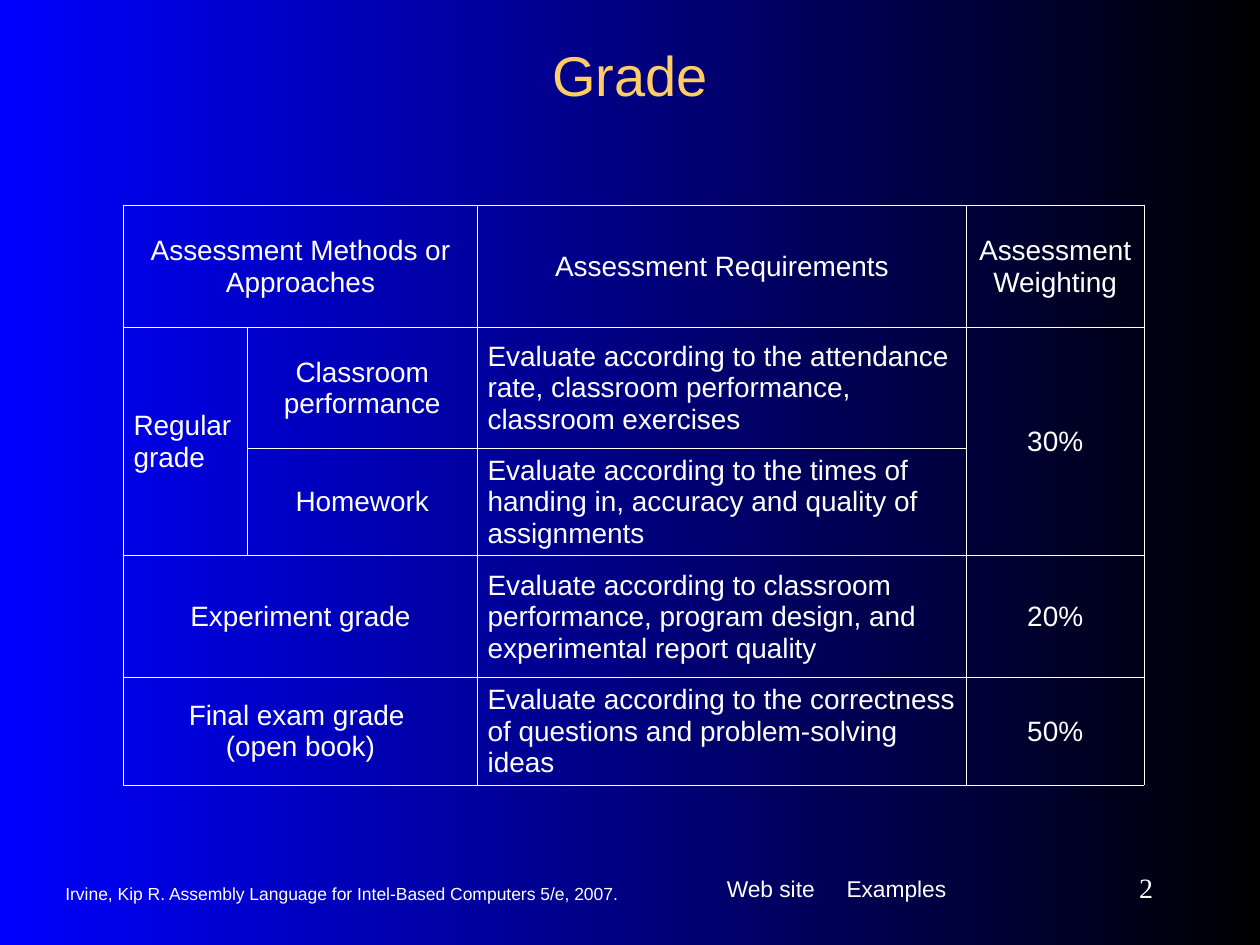
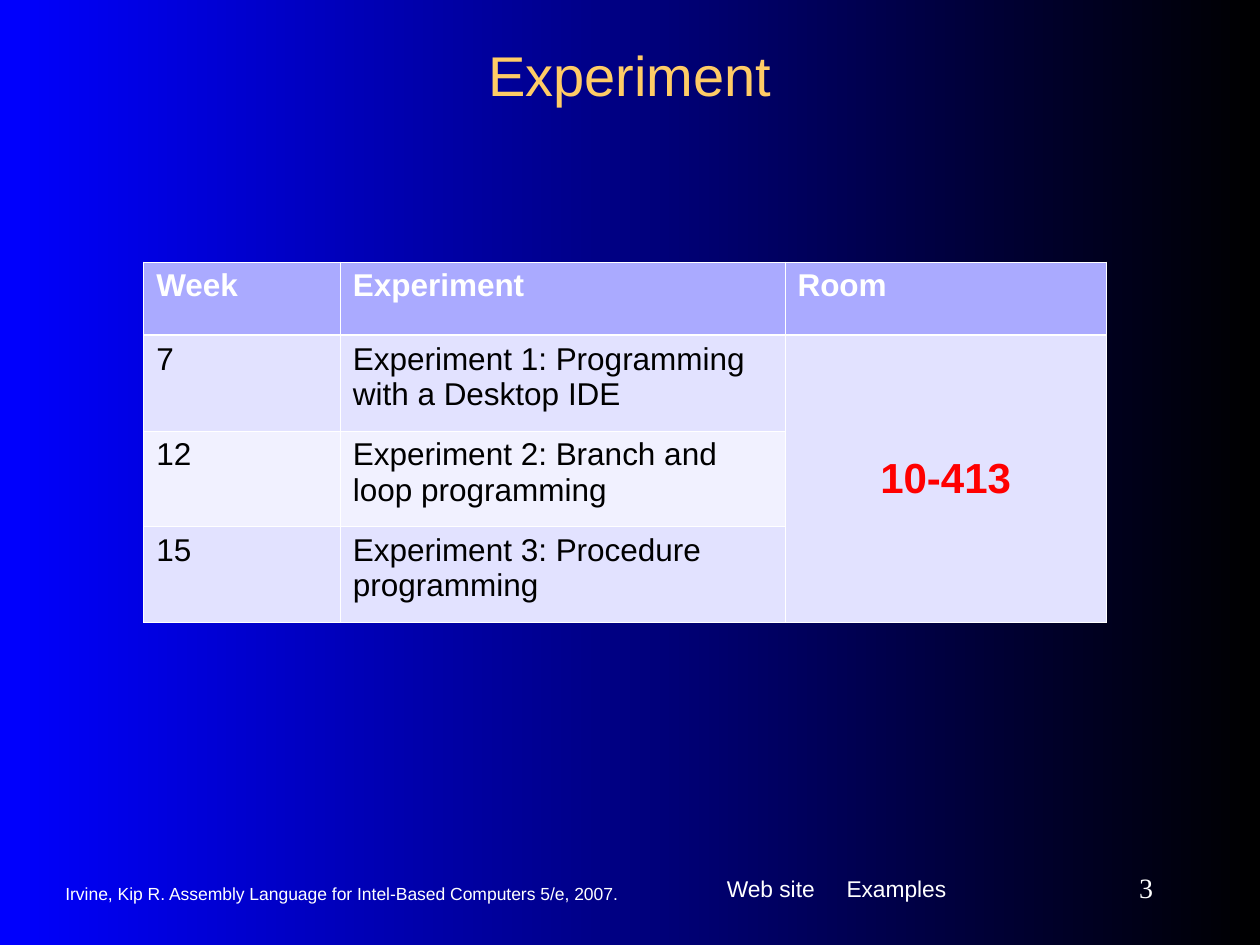
from lxml import etree
from pptx import Presentation, util as u
from pptx.dml.color import RGBColor
from pptx.enum import text
from pptx.oxml import ns

COLORS = {
    "blue": "0000FF", "black": "000000", "white": "FFFFFF", "gold": "FFCC66",
    "red": "FF0000", "header": "AAAAFF", "odd": "E2E2FF", "even": "F1F1FF",
}
ALIGN = {"l": text.PP_ALIGN.LEFT, "c": text.PP_ALIGN.CENTER, "r": text.PP_ALIGN.RIGHT}
TOP, MIDDLE = text.MSO_ANCHOR.TOP, text.MSO_ANCHOR.MIDDLE
WIDTH, HEIGHT = 10, 7.5
FIRST_NUMBER = 2
THIN, THICK = 0.45, 1.47

CITATION = "Irvine, Kip R. Assembly Language for Intel-Based Computers 5/e, 2007."
LINKS = "Web site\tExamples"
LINKS_TAB = 0.95

STYLES = {
    "l": dict(size=16, color="white", align="l", leading=18),
    "c": dict(size=16, color="white", align="c", leading=18),
    "H": dict(size=18, color="white", bold=True, fill="header", anchor=TOP),
    "o": dict(size=18, color="black", fill="odd", anchor=TOP),
    "e": dict(size=18, color="black", fill="even", anchor=TOP),
    "R": dict(size=24, color="red", bold=True, align="c", fill="odd"),
}

SLIDES = [
    dict(
        title="Grade", at=(0.98, 1.63), side_margin=0.08, rule_under_header=THIN,
        cols=(0.98, 1.83, 3.88, 1.41), rows=(0.97, 0.96, 0.75, 0.97, 0.75),
        cells=[
            ("Assessment Methods or Approaches", None, "Assessment Requirements",
             "Assessment Weighting"),
            ("Regular grade", "Classroom performance",
             "Evaluate according to the attendance rate, classroom performance, "
             "classroom exercises", "30%"),
            (None, "Homework",
             "Evaluate according to the times of handing in, accuracy and quality "
             "of assignments", None),
            ("Experiment grade", None,
             "Evaluate according to classroom performance, program design, and "
             "experimental report quality", "20%"),
            ("Final exam grade \n(open book)", None,
             "Evaluate according to the correctness of questions and "
             "problem-solving ideas", "50%"),
        ],
        styles=("cccc", "lclc", "lclc", "cclc", "cclc"),
        merges=[(0, 0, 0, 1), (1, 0, 2, 0), (1, 3, 2, 3), (3, 0, 3, 1), (4, 0, 4, 1)],
    ),
    dict(
        title="Experiment", at=(1.14, 2.08), side_margin=0.1, rule_under_header=THICK,
        cols=(1.56, 3.53, 2.55), rows=(0.58, 0.76, 0.76, 0.76),
        cells=[
            ("Week", "Experiment", "Room"),
            ("7", "Experiment 1: Programming with a Desktop IDE", "10-413"),
            ("12", "Experiment 2: Branch and loop programming", None),
            ("15", "Experiment 3: Procedure programming", None),
        ],
        styles=("HHH", "ooR", "eeR", "ooR"),
        merges=[(1, 2, 3, 2)],
    ),
]


def rgb(name):
    return RGBColor.from_string(COLORS[name])


def write(frame, words, size, color, align="l", bold=False, font="Arial", leading=None):
    frame.text = words
    for paragraph in frame.paragraphs:
        paragraph.alignment = ALIGN[align]
        if leading:
            paragraph.line_spacing = u.Pt(leading)
        for run in paragraph.runs:
            run.font.name = font
            run.font.size = u.Pt(size)
            run.font.bold = bold
            run.font.color.rgb = rgb(color)


def place(shape, left, top, width, height):
    shape.left, shape.top = u.Inches(left), u.Inches(top)
    shape.width, shape.height = u.Inches(width), u.Inches(height)


def add_text(slide, box, words, size, anchor=MIDDLE, **style):
    frame = slide.shapes.add_textbox(*map(u.Inches, box)).text_frame
    frame.word_wrap = True
    frame.vertical_anchor = anchor
    write(frame, words, size, "white", **style)
    return frame


def add_footer(slide, number):
    add_text(slide, (0.42, 6.93, 4.75, 0.33), CITATION, 10)
    links = add_text(slide, (5.67, 6.83, 2.25, 0.52), LINKS, 13, TOP)
    links.margin_top = links.margin_bottom = u.Inches(0.15)
    properties = links.paragraphs[0]._p.get_or_add_pPr()
    tabs = etree.SubElement(properties, ns.qn("a:tabLst"))
    etree.SubElement(tabs, ns.qn("a:tab"), pos=str(u.Inches(LINKS_TAB)), algn="l")
    add_text(slide, (8.17, 6.83, 1.08, 0.42), str(number), 16,
             align="r", font="Times New Roman")


def add_borders(cell, widths):
    properties = cell._tc.get_or_add_tcPr()
    for side, width in zip("LRTB", widths):
        line = etree.SubElement(properties, ns.qn(f"a:ln{side}"), w=str(u.Pt(width)))
        fill = etree.SubElement(line, ns.qn("a:solidFill"))
        etree.SubElement(fill, ns.qn("a:srgbClr"), val=COLORS["white"])


def format_cell(cell, words, side_margin, fill=None, anchor=MIDDLE, **style):
    cell.margin_left = cell.margin_right = u.Inches(side_margin)
    cell.vertical_anchor = anchor
    if fill:
        cell.fill.solid()
        cell.fill.fore_color.rgb = rgb(fill)
    else:
        cell.fill.background()
    if words:
        write(cell.text_frame, words, **style)


def add_grid(slide, content):
    cols, rows = content["cols"], content["rows"]
    size = map(u.Inches, (*content["at"], sum(cols), sum(rows)))
    table = slide.shapes.add_table(len(rows), len(cols), *size).table
    table.first_row = table.horz_banding = False
    for column, width in zip(table.columns, cols):
        column.width = u.Inches(width)
    for row, height in zip(table.rows, rows):
        row.height = u.Inches(height)
    for r, (line, styles) in enumerate(zip(content["cells"], content["styles"])):
        above = content["rule_under_header"] if r == 1 else THIN
        below = content["rule_under_header"] if r == 0 else THIN
        for c, (words, style) in enumerate(zip(line, styles)):
            cell = table.cell(r, c)
            add_borders(cell, (THIN, THIN, above, below))
            format_cell(cell, words, content["side_margin"], **STYLES[style])
    for top, left, bottom, right in content["merges"]:
        table.cell(top, left).merge(table.cell(bottom, right))


def paint_background(master):
    fill = master.background.fill
    fill.gradient()
    fill.gradient_angle = 0
    for stop, color, position in zip(fill.gradient_stops, ("blue", "black"), (0, 1)):
        stop.color.rgb = rgb(color)
        stop.position = position


def main():
    deck = Presentation()
    deck.slide_width, deck.slide_height = u.Inches(WIDTH), u.Inches(HEIGHT)
    paint_background(deck.slide_master)
    title_only = deck.slide_layouts.get_by_name("Title Only")
    for number, content in enumerate(SLIDES, FIRST_NUMBER):
        slide = deck.slides.add_slide(title_only)
        title = slide.shapes.title
        place(title, 0.75, 0.25, 8.5, 0.67)
        title.text_frame.auto_size = text.MSO_AUTO_SIZE.NONE
        title.text_frame.vertical_anchor = MIDDLE
        write(title.text_frame, content["title"], 32, "gold", "c")
        add_grid(slide, content)
        add_footer(slide, number)
    deck.save("out.pptx")


if __name__ == "__main__":
    main()
